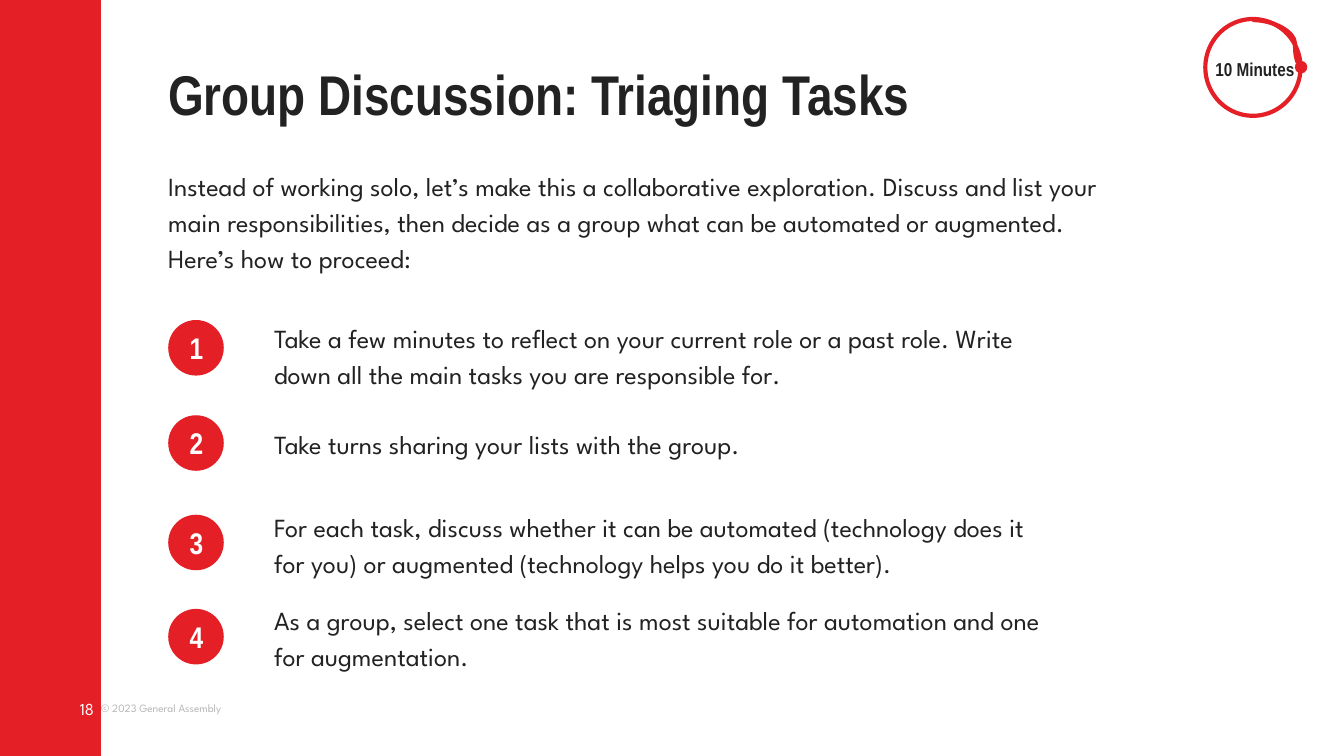
from dataclasses import dataclass

import pptx
import pptx.dml.color
import pptx.enum.shapes
import pptx.enum.text
import pptx.oxml
import pptx.oxml.ns
import pptx.util

Cm = pptx.util.Cm
Pt = pptx.util.Pt
RGB = pptx.dml.color.RGBColor
SHAPE = pptx.enum.shapes.MSO_SHAPE
ALIGN = pptx.enum.text.PP_ALIGN
ANCHOR = pptx.enum.text.MSO_ANCHOR


@dataclass(frozen=True)
class Theme:
    red: RGB = RGB(0xE4, 0x1F, 0x26)
    ink: RGB = RGB(0x22, 0x22, 0x22)
    grey: RGB = RGB(0xB7, 0xB7, 0xB7)
    white: RGB = RGB(0xFF, 0xFF, 0xFF)
    head_font: str = "Arial Narrow"
    body_font: str = "League Spartan"
    title: float = 30
    number: float = 16
    body: float = 14
    timer: float = 10
    page: float = 9
    legal: float = 6
    stroke: float = 2.25


T = Theme()
WIDTH, HEIGHT = 25.4, 14.29
INTRO = (
    "Instead of working solo, let’s make this a collaborative exploration. "
    "Discuss and list your main responsibilities, then decide as a group what "
    "can be automated or augmented. Here’s how to proceed:"
)
# Each step: top of its circle, top and width of its text, wording
STEPS = [
    (0, 0, 14.66, "Take a few minutes to reflect on your current role or a past "
     "role. Write down all the main tasks you are responsible for."),
    (1.8, 1.67, 14.66, "Take turns sharing your lists with the group."),
    (3.68, 3.58, 14.66, "For each task, discuss whether it can be automated "
     "(technology does it for you) or augmented (technology helps you do it better)."),
    (5.46, 5.33, 15.16, "As a group, select one task that is most suitable for "
     "automation and one for augmentation."),
]


def cm(*lengths):
    return [Cm(n) for n in lengths]


def write(s, text, size, color=T.ink, font=T.body_font, bold=False,
          align=ALIGN.LEFT, anchor=ANCHOR.MIDDLE, inset=0, spacing=None, after=None):
    tf = s.text_frame
    tf.word_wrap = True
    tf.auto_size = pptx.enum.text.MSO_AUTO_SIZE.NONE
    tf.vertical_anchor = anchor
    tf.margin_left = tf.margin_top = tf.margin_right = tf.margin_bottom = Cm(inset)
    p = tf.paragraphs[0]
    p.alignment = align
    p.space_before = Pt(0)
    if spacing:
        p.line_spacing = spacing
    if after:
        p.space_after = Pt(after)
    r = p.add_run()
    r.text = text
    r.font.size, r.font.name, r.font.bold = Pt(size), font, bold
    r.font.color.rgb = color


def add_text(slide, box, text, size, **style):
    write(slide.shapes.add_textbox(*cm(*box)), text, size, **style)


def add_body(slide, box, text):
    add_text(slide, box, text, T.body, spacing=1.15, after=10)


def add_filled(slide, kind, box):
    s = slide.shapes.add_shape(kind, *cm(*box))
    s.shadow.inherit = False
    s.fill.solid()
    s.fill.fore_color.rgb = T.red
    s.line.fill.background()
    return s


def add_sidebar(slide, box):
    """Red bar with the page number inside and the copyright line beside it."""
    x, y, w, h = box
    add_filled(slide, SHAPE.RECTANGLE, box)
    add_text(slide, (x + w, y + 13.13, 2.54, 0.51), "© 2023 General Assembly",
             T.legal, color=T.grey)
    add_text(slide, (x + 0.89, y + 12.95, 0.89, 0.89), "18", T.page,
             color=T.white, align=ALIGN.RIGHT)


def add_title(slide, box):
    s = slide.shapes.title
    s.left, s.top, s.width, s.height = cm(*box)
    write(s, "Group Discussion: Triaging Tasks", T.title, font=T.head_font,
          bold=True, anchor=ANCHOR.TOP, spacing=0.9)


def add_steps(slide, box):
    x, y, w, h = box
    for i, (circle_top, text_top, width, text) in enumerate(STEPS, 1):
        s = add_filled(slide, SHAPE.OVAL, (x, y + circle_top, 1.05, 1.05))
        write(s, str(i), T.number, color=T.white, font=T.head_font, bold=True,
              align=ALIGN.CENTER, inset=0.25)
        add_body(slide, (x + w - 15.16, y + text_top, width, 1.27), text)


def add_timer(slide, box):
    """Ring with a curved hand that ends in a dot, around the time allowed."""
    x, y, w, h = box
    ring = slide.shapes.add_shape(SHAPE.OVAL, *cm(x + 0.17, y + 0.21, w - 0.41, h - 0.41))
    ring.shadow.inherit = False
    ring.fill.background()
    hand = slide.shapes.add_connector(
        pptx.enum.shapes.MSO_CONNECTOR.CURVE,
        *cm(x + 1.06, y + 0.23, x + 1.98, y + 1.12))
    for s in (ring, hand):
        s.line.color.rgb = T.red
        s.line.width = Pt(T.stroke)

    ns = pptx.oxml.ns.nsdecls("a")
    sp_pr = hand._element.spPr
    sp_pr.find(pptx.oxml.ns.qn("a:ln")).append(
        pptx.oxml.parse_xml(f'<a:tailEnd {ns} type="oval"/>'))
    sp_pr.append(pptx.oxml.parse_xml(f"<a:effectLst {ns}/>"))
    guides = sp_pr.find(".//" + pptx.oxml.ns.qn("a:avLst"))
    guides.append(pptx.oxml.parse_xml(f'<a:gd {ns} name="adj1" fmla="val 87600"/>'))

    add_text(slide, box, "10 Minutes", T.timer, font=T.head_font, bold=True,
             align=ALIGN.CENTER, spacing=1.15, after=10)


def main():
    prs = pptx.Presentation()
    prs.slide_width, prs.slide_height = cm(WIDTH, HEIGHT)
    slide = prs.slides.add_slide(prs.slide_layouts.get_by_name("Title Only"))
    add_sidebar(slide, (0, 0, 1.91, HEIGHT))
    add_title(slide, (3.18, 1.27, 17.15, 1.14))
    add_body(slide, (3.18, 2.57, 18.31, 3.18), INTRO)
    add_steps(slide, (3.18, 6.05, 17.16, 6.6))
    add_timer(slide, (22.61, 0.15, 2.21, 2.24))
    prs.save("out.pptx")


if __name__ == "__main__":
    main()
